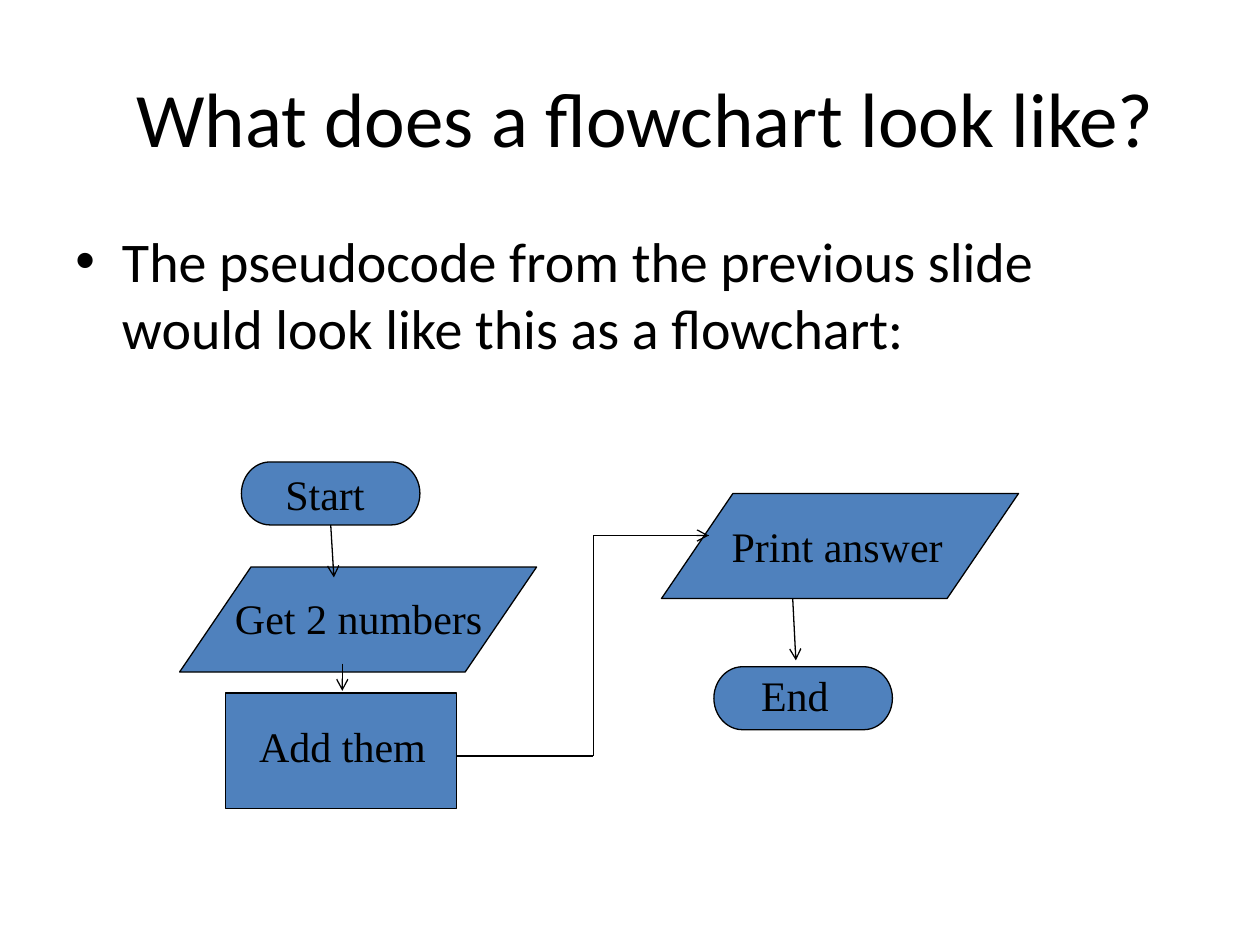
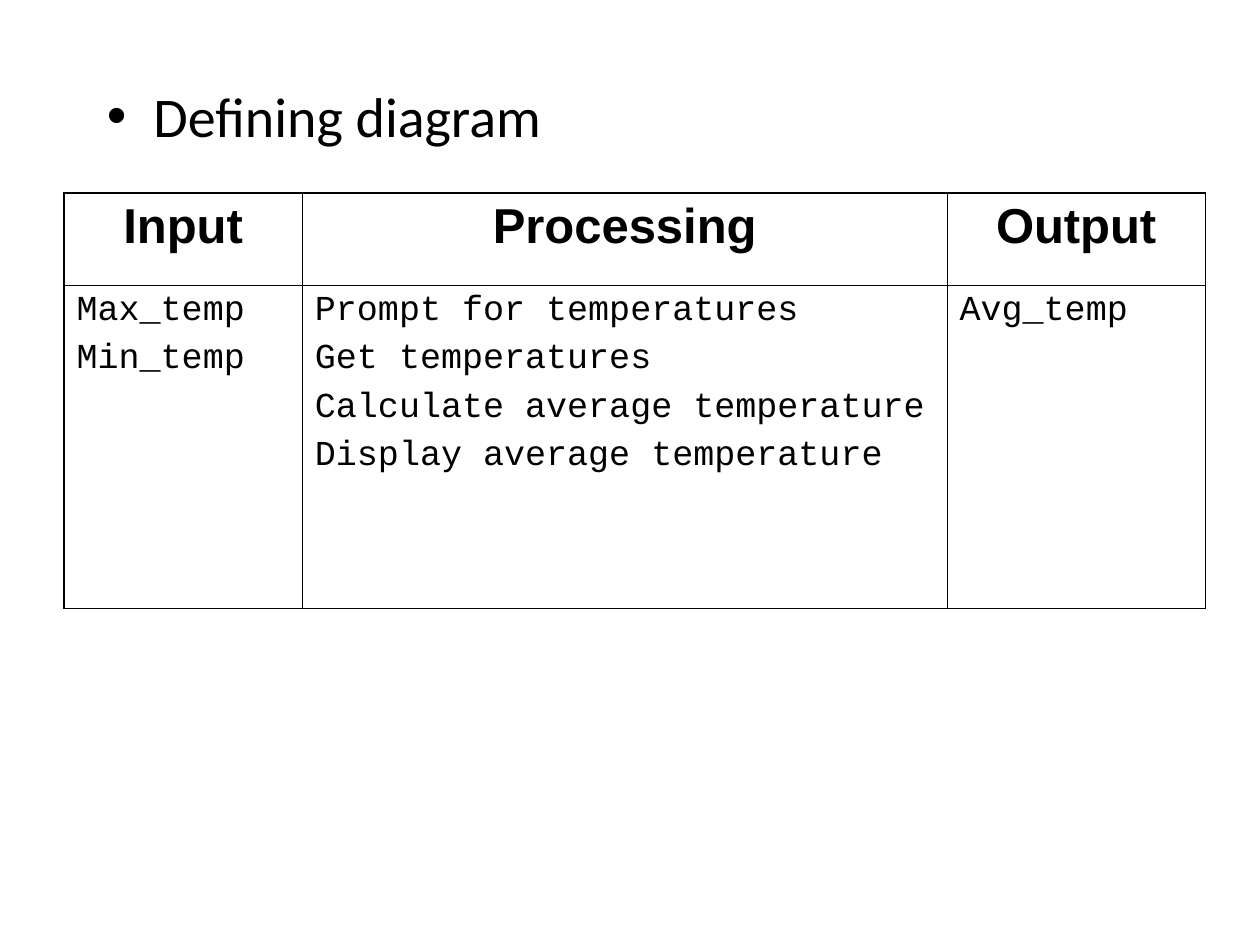
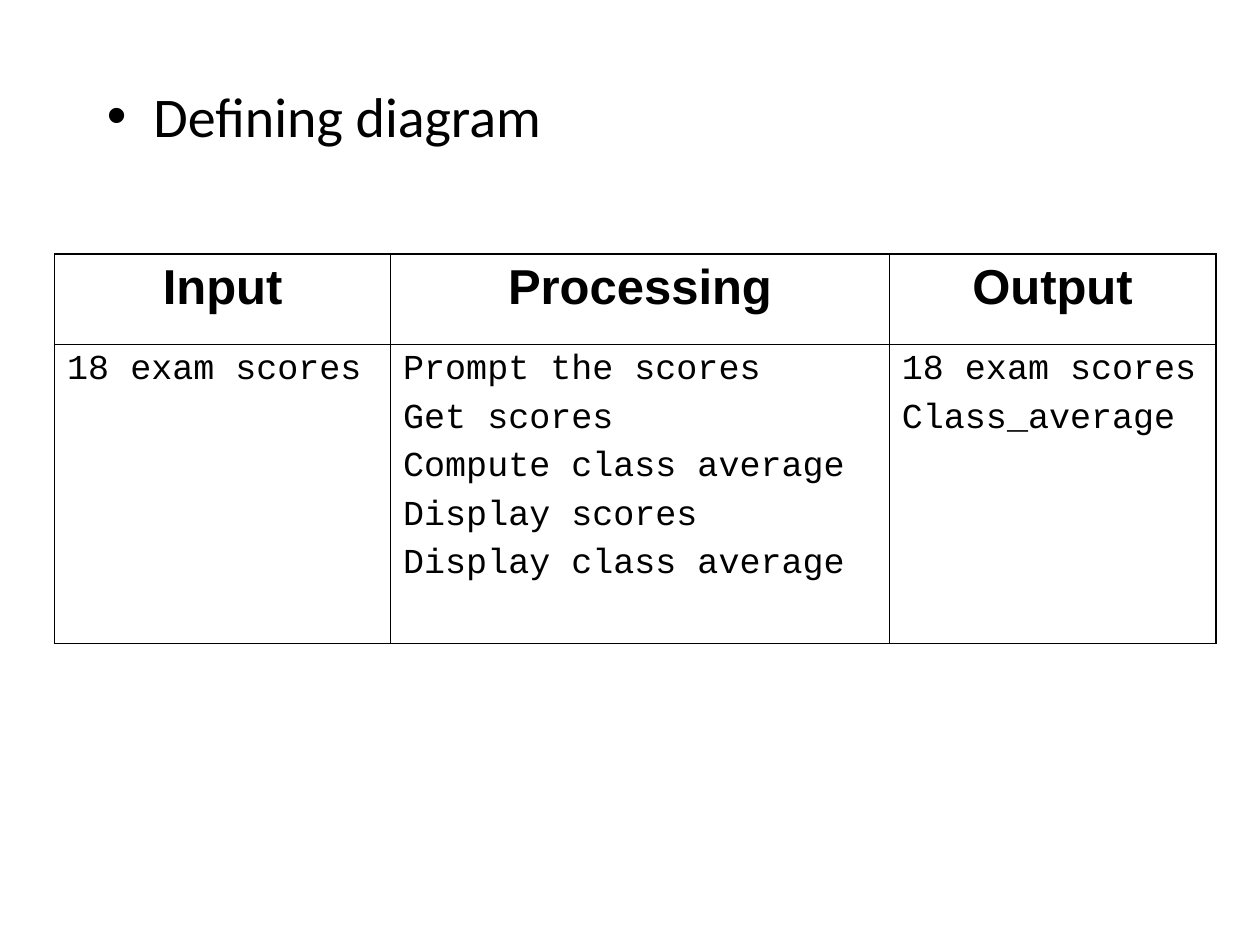
import pptx
import pptx.dml.color
import pptx.enum.shapes
import pptx.enum.text
import pptx.oxml
import pptx.oxml.ns
import pptx.util
import lxml.etree

# Shared look: a grid of 120 columns and 90 rows, so one unit is 1/12 inch
UNIT = pptx.util.Inches(10) // 120
BLACK, BLUE = "000000", "4F81BD"
OUTER_LINE, INNER_LINE = 1.08, 0.45
PLAIN_TABLE = "{2D5ABB26-0587-4C30-8999-92F81FD0307C}"
ALIGN = pptx.enum.text.PP_ALIGN
KIND = pptx.enum.shapes.MSO_SHAPE


def colour(target, value):
    target.rgb = pptx.dml.color.RGBColor.from_string(value)


def write(frame, lines, size, font, align=ALIGN.LEFT, bold=False, gap=0, bullet=False):
    frame.text = "\n".join(lines)
    for number, para in enumerate(frame.paragraphs):
        if bullet:
            props = para._p.get_or_add_pPr()
            props.set("marL", str(pptx.util.Inches(0.37)))
            props.set("indent", str(-pptx.util.Inches(0.37)))
            for tag, key, value in (("a:buFont", "typeface", "Arial"), ("a:buChar", "char", "•")):
                lxml.etree.SubElement(props, pptx.oxml.ns.qn(tag)).set(key, value)
        para.alignment = align
        if number:
            para.space_before = pptx.util.Pt(gap)
        for span in para.runs:
            span.font.size = pptx.util.Pt(size)
            span.font.name = font
            span.font.bold = bold
            colour(span.font.color, BLACK)


deck = pptx.Presentation()
deck.slide_width = 120 * UNIT
deck.slide_height = 90 * UNIT
blank = deck.slide_layouts[6]

# Slide 1: flowchart symbols
page = deck.slides.add_slide(blank)
symbols = {}
for name, kind, *place in (
    ("end", KIND.FLOWCHART_TERMINATOR, 68, 63.5, 17, 6),
    ("start", KIND.FLOWCHART_TERMINATOR, 23, 44, 17, 6),
    ("print", KIND.FLOWCHART_DATA, 63, 47, 34, 10),
    ("add", KIND.FLOWCHART_PROCESS, 21.5, 66, 22, 11),
    ("get", KIND.FLOWCHART_DATA, 17.1, 54, 34, 10),
):
    symbol = page.shapes.add_shape(kind, *[round(n * UNIT) for n in place])
    symbol.shadow.inherit = False
    symbol.fill.solid()
    colour(symbol.fill.fore_color, BLUE)
    colour(symbol.line.color, BLACK)
    symbol.line.width = pptx.util.Pt(0.75)
    symbols[name] = symbol

# Title and introduction
title = page.shapes.add_textbox(3 * UNIT, round(3.6 * UNIT), 117 * UNIT, 15 * UNIT).text_frame
title.word_wrap = True
title.vertical_anchor = pptx.enum.text.MSO_ANCHOR.MIDDLE
write(title, ["What does a flowchart look like?"], 44, "Calibri", ALIGN.CENTER)
intro = page.shapes.add_textbox(6 * UNIT, 21 * UNIT, 108 * UNIT, round(59.4 * UNIT)).text_frame
intro.word_wrap = True
write(intro, ["The pseudocode from the previous slide would look like this as a flowchart:"],
      32, "Calibri", bullet=True)

# Symbol labels
for label, *place in (
    ("Start", 26, 44, 10.5, 6),
    ("Get 2 numbers", 21.2, 55.8, 26.5, 6),
    ("Add them", 23.5, 68, 19, 6),
    ("Print answer", 68.5, 49, 23.2, 6),
    ("End", 71.3, 63.2, 9.3, 6),
):
    box = page.shapes.add_textbox(*[round(n * UNIT) for n in place])
    box.text_frame.word_wrap = False
    write(box.text_frame, [label], 24, "Times New Roman")

# Flow lines: from, to, arrowhead, symbol whose bottom the line leaves
for *ends, arrow, source in (
    (43.5, 72, 56.5, 72, False, None),
    (56.5, 72, 56.5, 51, False, None),
    (56.5, 51, 67.5, 51, False, None),
    (75.5, 57, 75.8, 62.9, True, None),
    (31.5, 50, 31.8, 55, True, "start"),
    (32.6, 63.2, 32.6, 65.8, True, None),
    (60.1, 51, 67.5, 51, True, None),
):
    flow = page.shapes.add_connector(pptx.enum.shapes.MSO_CONNECTOR.STRAIGHT,
                                     *[round(n * UNIT) for n in ends])
    if source:
        flow.begin_connect(symbols[source], 2)
    colour(flow.line.color, BLACK)
    flow.line.width = pptx.util.Pt(0.75)
    if arrow:
        head = lxml.etree.SubElement(flow.line._get_or_add_ln(), pptx.oxml.ns.qn("a:tailEnd"))
        head.set("type", "arrow")
    lxml.etree.SubElement(flow._element.spPr, pptx.oxml.ns.qn("a:effectLst"))

# Slides 2 and 3: defining diagrams
diagrams = (
    {
        "corner": (6.1, 18.4), "columns": (22.7, 61.4, 24.6), "rows": (8.75, 13.3, 8.75, 8.75),
        "merged": (0, 1),
        "entries": (
            ["Max_temp", "Min_temp"],
            ["Prompt for temperatures", "Get temperatures",
             "Calculate average temperature", "Display average temperature"],
            ["Avg_temp"],
        ),
    },
    {
        "corner": (5.2, 24.2), "columns": (32, 47.5, 31.1), "rows": (8.6, 28.5),
        "merged": (),
        "entries": (
            ["18 exam scores"],
            ["Prompt the scores", "Get scores", "Compute class average",
             "Display scores", "Display class average"],
            ["18 exam scores", "Class_average"],
        ),
    },
)
for diagram in diagrams:
    page = deck.slides.add_slide(blank)
    heading = page.shapes.add_textbox(9 * UNIT, round(7.2 * UNIT), 102 * UNIT, round(72.8 * UNIT))
    heading.text_frame.word_wrap = True
    write(heading.text_frame, ["Defining diagram"], 32, "Calibri", bullet=True)

    # Table size
    widths = [round(n * UNIT) for n in diagram["columns"]]
    heights = [round(n * UNIT) for n in diagram["rows"]]
    left, top = [round(n * UNIT) for n in diagram["corner"]]
    holder = page.shapes.add_table(len(heights), len(widths), left, top, sum(widths), sum(heights))
    table = holder.table
    table.first_row = table.horz_banding = False
    table._tbl.tblPr.find(pptx.oxml.ns.qn("a:tableStyleId")).text = PLAIN_TABLE
    for column, width in zip(table.columns, widths):
        column.width = width
    for row, height in zip(table.rows, heights):
        row.height = height

    # Cell borders: heavier frame, thin lines between columns and under the header,
    # and no line between the rows of the body
    last_row, last_column = len(heights) - 1, len(widths) - 1
    for r in range(len(heights)):
        for c in range(len(widths)):
            cell = table.cell(r, c)
            borders = {
                "L": INNER_LINE if c else OUTER_LINE,
                "R": OUTER_LINE if c == last_column else INNER_LINE,
                "T": {0: OUTER_LINE, 1: INNER_LINE}.get(r, 0),
                "B": {0: INNER_LINE, last_row: OUTER_LINE}.get(r, 0),
            }
            for side, weight in borders.items():
                paint = f'<a:solidFill><a:srgbClr val="{BLACK}"/></a:solidFill>' if weight else "<a:noFill/>"
                cell._tc.get_or_add_tcPr().append(pptx.oxml.parse_xml(
                    f'<a:ln{side} {pptx.oxml.ns.nsdecls("a")} w="{pptx.util.Pt(weight)}">'
                    f'{paint}</a:ln{side}>'))
            cell.fill.background()

    # Table text
    for c in diagram["merged"]:
        table.cell(1, c).merge(table.cell(2, c))
    for c, header in enumerate(("Input", "Processing", "Output")):
        write(table.cell(0, c).text_frame, [header], 28, "Arial", ALIGN.CENTER, bold=True)
        write(table.cell(1, c).text_frame, diagram["entries"][c], 20, "Courier New", gap=5)

deck.save("out.pptx")
